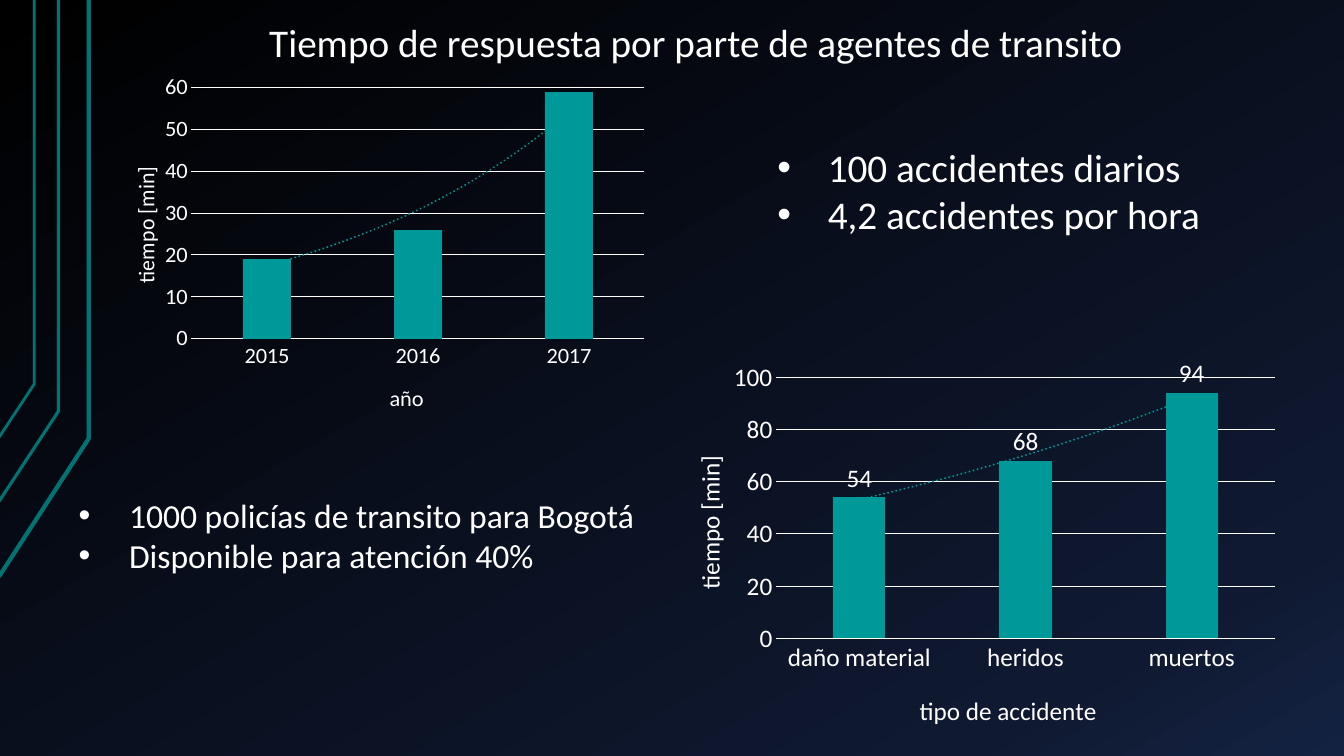
from copy import deepcopy
from typing import NamedTuple

from lxml import etree
from pptx import Presentation
from pptx.chart.data import CategoryChartData
from pptx.dml.color import RGBColor
from pptx.enum.chart import XL_CHART_TYPE, XL_LABEL_POSITION, XL_TICK_MARK
from pptx.enum.text import MSO_ANCHOR, MSO_AUTO_SIZE, PP_ALIGN
from pptx.oxml import parse_xml
from pptx.oxml.ns import nsdecls, qn
from pptx.util import Inches, Pt

COLUMN = XL_CHART_TYPE.COLUMN_CLUSTERED
OUTSIDE_END = XL_LABEL_POSITION.OUTSIDE_END
NO_TICK = XL_TICK_MARK.NONE
TOP = MSO_ANCHOR.TOP
NO_AUTOSIZE = MSO_AUTO_SIZE.NONE
LEFT = PP_ALIGN.LEFT

FONT = "Calibri"
WHITE = RGBColor(0xFF, 0xFF, 0xFF)
BLACK = RGBColor(0x00, 0x00, 0x00)
NAVY = RGBColor(0x0F, 0x19, 0x31)
BLUE = RGBColor(0x14, 0x22, 0x42)
TEAL = RGBColor(0x00, 0x99, 0x99)
DARK_TEAL = RGBColor(0x00, 0x73, 0x73)


class Area(NamedTuple):
    left: float
    top: float
    width: float
    height: float


class Stripe(NamedTuple):
    points: list[tuple[float, float]]
    weight: float


class AxisTitle(NamedTuple):
    text: str
    x: float
    y: float


class ColumnChart(NamedTuple):
    area: Area
    plot: Area
    categories: list[str]
    values: list[int]
    category_title: AxisTitle
    value_title: AxisTitle
    maximum: int
    unit: int
    size: int
    labelled: bool


STRIPES = [
    Stripe([(-0.01, 5.72), (0.88, 4.35), (0.88, 0)], 3),
    Stripe([(-0.02, 4.99), (0.58, 4.08), (0.58, 0)], 2.25),
    Stripe([(-0.01, 4.34), (0.34, 3.81), (0.34, 0)], 2),
]

CHARTS = [
    ColumnChart(
        Area(6.51, 3.51, 6.26, 3.87), Area(0.19, 0.06, 0.79, 0.67),
        ["daño material", "heridos", "muertos"], [54, 68, 94],
        AxisTitle("tipo de accidente", 0.41, 0.86), AxisTitle("tiempo [min]", 0.05, 0.25),
        maximum=100, unit=20, size=18, labelled=True,
    ),
    ColumnChart(
        Area(1.15, 0.7, 5.35, 3.46), Area(0.14, 0.05, 0.84, 0.74),
        ["2015", "2016", "2017"], [19, 26, 59],
        AxisTitle("año", 0.5, 0.91), AxisTitle("tiempo [min]", 0.02, 0.28),
        maximum=60, unit=10, size=16, labelled=False,
    ),
]


def format_font(font, size: float) -> None:
    font.name = FONT
    font.size = Pt(size)
    font.bold = False
    font.color.rgb = WHITE


def paint_background(page) -> None:
    fill = page.background.fill
    fill.gradient()
    fill.gradient_angle = 300
    stop_list = page.background._cSld.find(".//" + qn("a:gsLst"))
    stop_list.append(deepcopy(stop_list[-1]))
    for stop, position, color in zip(fill.gradient_stops, (0, 0.85, 1), (BLACK, NAVY, BLUE)):
        stop.position = position
        stop.color.rgb = color


def draw_stripe(page, stripe: Stripe) -> None:
    points = [(Inches(x), Inches(y)) for x, y in stripe.points]
    builder = page.shapes.build_freeform(*points[0])
    builder.add_line_segments(points[1:], close=False)
    shape = builder.convert_to_shape()
    shape.shadow.inherit = False
    shape.fill.background()
    shape.line.color.rgb = DARK_TEAL
    shape.line.width = Pt(stripe.weight)


def write_text(box, lines: list[str], *, area: Area, size: float, bulleted: bool = False) -> None:
    box.left, box.top, box.width, box.height = map(Inches, area)
    frame = box.text_frame
    frame.text = "\n".join(lines)
    frame.word_wrap = True
    frame.auto_size = NO_AUTOSIZE
    frame.vertical_anchor = TOP
    for para in frame.paragraphs:
        para.alignment = LEFT
        para.space_before = Pt(0)
        for span in para.runs:
            format_font(span.font, size)
        if bulleted:
            properties = para._p.get_or_add_pPr()
            properties.set("marL", str(Inches(0.5)))
            properties.set("indent", str(Inches(-0.5)))
            etree.SubElement(properties, qn("a:buFont"), typeface="Arial")
            etree.SubElement(properties, qn("a:buChar"), char="•")


def manual_layout(x: float, y: float, extent: str = "", target: str = ""):
    return parse_xml(
        f'<c:layout {nsdecls("c")}><c:manualLayout>{target}'
        f'<c:xMode val="edge"/><c:yMode val="edge"/><c:x val="{x}"/><c:y val="{y}"/>'
        f"{extent}</c:manualLayout></c:layout>"
    )


def replace_layout(parent, layout, index: int) -> None:
    for existing in parent.findall(qn("c:layout")):
        parent.remove(existing)
    parent.insert(index, layout)


def format_axis(axis, title: AxisTitle, size: float) -> None:
    axis.major_tick_mark = NO_TICK
    axis.minor_tick_mark = NO_TICK
    format_font(axis.tick_labels.font, size)
    frame = axis.axis_title.text_frame
    frame.text = title.text
    format_font(frame.paragraphs[0].runs[0].font, size)
    replace_layout(axis.axis_title._element, manual_layout(title.x, title.y), 1)


def add_trend(series) -> None:
    trend = parse_xml(
        f'<c:trendline {nsdecls("c", "a")}><c:spPr><a:ln w="{Pt(1.5)}" cap="rnd">'
        f'<a:solidFill><a:srgbClr val="{TEAL}"/></a:solidFill><a:prstDash val="sysDot"/>'
        '</a:ln></c:spPr><c:trendlineType val="exp"/><c:dispRSqr val="0"/>'
        '<c:dispEq val="0"/></c:trendline>'
    )
    series._element.find(qn("c:cat")).addprevious(trend)


def draw_chart(page, item: ColumnChart) -> None:
    data = CategoryChartData()
    data.categories = item.categories
    data.add_series("Series 1", item.values)
    chart = page.shapes.add_chart(COLUMN, *map(Inches, item.area), data).chart
    chart.has_title = False
    chart.has_legend = False
    format_font(chart.font, item.size)

    plot = chart.plots[0]
    plot.vary_by_categories = False
    plot.gap_width = 219
    plot.overlap = -27
    series = plot.series[0]
    series.invert_if_negative = False
    series.format.fill.solid()
    series.format.fill.fore_color.rgb = TEAL
    if item.labelled:
        labels = series.data_labels
        labels.show_value = True
        labels.position = OUTSIDE_END
        format_font(labels.font, item.size)
    add_trend(series)

    format_axis(chart.category_axis, item.category_title, item.size)
    format_axis(chart.value_axis, item.value_title, item.size)
    axis = chart.value_axis
    axis.minimum_scale = 0
    axis.maximum_scale = item.maximum
    axis.major_unit = item.unit
    axis.format.line.fill.background()
    for line in (chart.category_axis.format.line, axis.major_gridlines.format.line):
        line.color.rgb = WHITE
        line.width = Pt(0.75)

    extent = f'<c:w val="{item.plot.width}"/><c:h val="{item.plot.height}"/>'
    target = '<c:layoutTarget val="inner"/>'
    layout = manual_layout(item.plot.left, item.plot.top, extent, target)
    replace_layout(chart._chartSpace.find(".//" + qn("c:plotArea")), layout, 0)


deck = Presentation()
deck.slide_width, deck.slide_height = Inches(13.33), Inches(7.5)
page = deck.slides.add_slide(deck.slide_layouts[3])
paint_background(page)
for stripe in STRIPES:
    draw_stripe(page, stripe)
for item in CHARTS:
    draw_chart(page, item)
title, accidents, officers = page.placeholders
write_text(title, ["Tiempo de respuesta por parte de agentes de transito"],
           area=Area(2.57, 0.13, 8.76, 0.57), size=28)
write_text(accidents, ["100 accidentes diarios", "4,2 accidentes por hora"],
           area=Area(7.61, 1.37, 4.44, 1.51), size=28, bulleted=True)
write_text(officers, ["1000 policías de transito para Bogotá", "Disponible para atención 40%"],
           area=Area(0.68, 4.86, 6.66, 0.91), size=24, bulleted=True)
deck.save("out.pptx")
